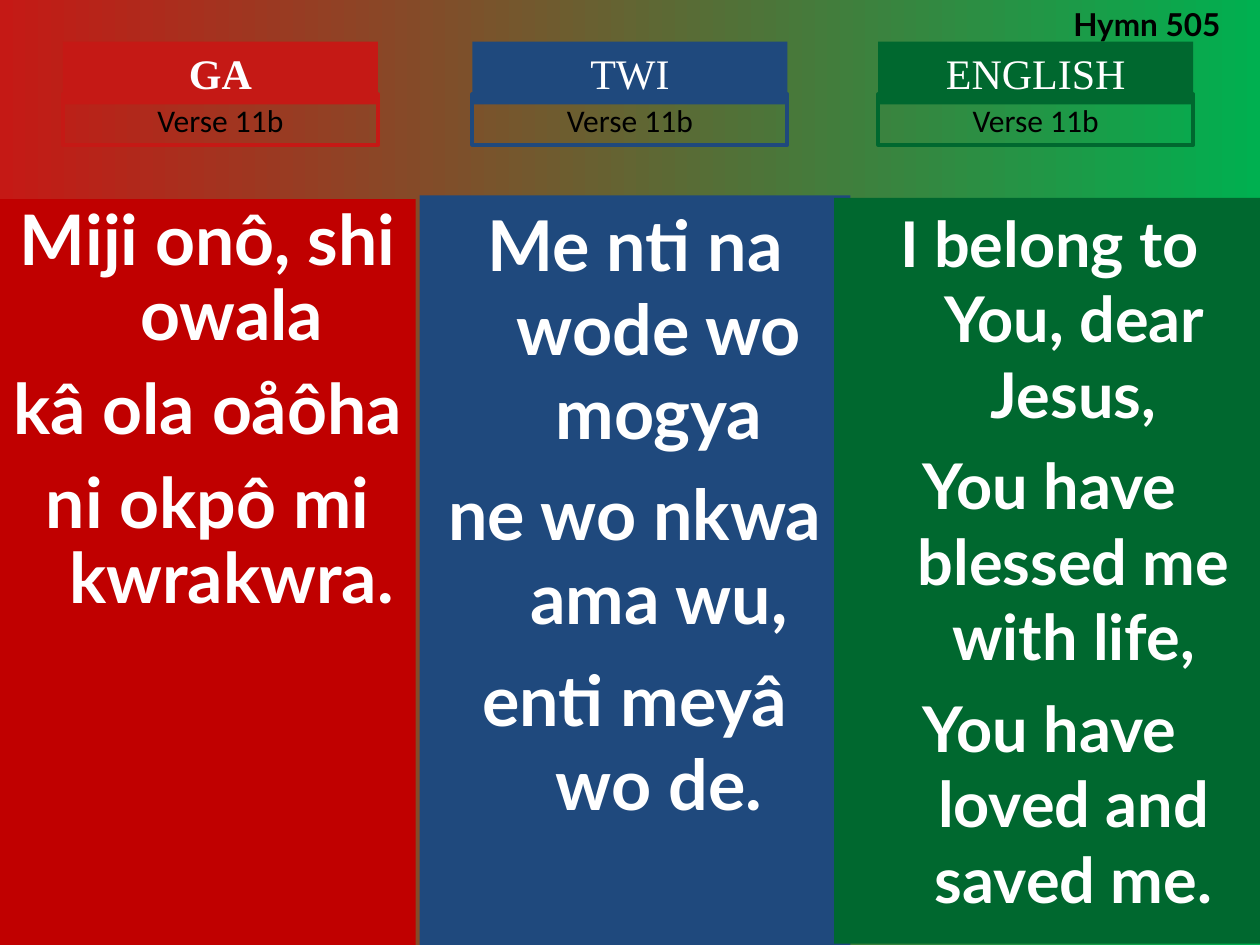
from pptx import Presentation
from pptx.dml.color import RGBColor
from pptx.enum.shapes import MSO_SHAPE
from pptx.enum.text import MSO_ANCHOR, MSO_AUTO_SIZE, PP_ALIGN
from pptx.util import Inches, Pt

RECTANGLE = MSO_SHAPE.RECTANGLE
CENTER = PP_ALIGN.CENTER
TOP, BOTTOM = MSO_ANCHOR.TOP, MSO_ANCHOR.BOTTOM
FIT_SHAPE = MSO_AUTO_SIZE.SHAPE_TO_FIT_TEXT

RED = RGBColor(0xC5, 0x19, 0x15)
DARK_RED = RGBColor(0xC0, 0x00, 0x00)
BLUE = RGBColor(0x1F, 0x49, 0x7D)
GREEN = RGBColor(0x00, 0x68, 0x2F)
BRIGHT_GREEN = RGBColor(0x00, 0xB0, 0x50)
WHITE = RGBColor(0xFF, 0xFF, 0xFF)
BLACK = RGBColor(0x00, 0x00, 0x00)

# Content: one entry per language
HYMN = "Hymn 505"
VERSE = "Verse 11b"
LANGUAGES = [
    {"name": "GA", "bold": True, "color": RED, "label_left": 0.5,
     "panel": (0, 1.58, 3.3, 5.92), "panel_color": DARK_RED,
     "size": 39.8, "gap": 10.7, "line_spacing": 0.9,
     "lines": ["Miji onô, shi owala", "kâ ola oåôha", "ni okpô mi kwrakwra."]},
    {"name": "TWI", "bold": False, "color": BLUE, "label_left": 3.75,
     "panel": (3.33, 1.55, 3.42, 5.95), "panel_color": BLUE,
     "size": 40, "gap": 10, "line_spacing": 1.0,
     "lines": ["Me nti na wode wo mogya", "ne wo nkwa ama wu,", "enti meyâ wo de."]},
    {"name": "ENGLISH", "bold": False, "color": GREEN, "label_left": 6.97,
     "panel": (6.62, 1.57, 3.42, 5.92), "panel_color": GREEN,
     "size": 36, "gap": 9, "line_spacing": 1.0,
     "lines": ["I belong to You, dear Jesus,", "You have blessed me with life,",
               "You have loved and saved me."]},
]

LABEL_WIDTH = 2.5
HEADING_TOP, HEADING_HEIGHT = 0.33, 0.5
VERSE_TOP, VERSE_HEIGHT = 0.75, 0.4
HANGING = 0.38


def add_box(slide, box, fill=None, line=None):
    shape = slide.shapes.add_shape(RECTANGLE, *map(Inches, box))
    shape.shadow.inherit = False
    if fill is None:
        shape.fill.background()
    else:
        shape.fill.solid()
        shape.fill.fore_color.rgb = fill
    if line is None:
        shape.line.fill.background()
    else:
        shape.line.color.rgb = line
        shape.line.width = Pt(2.25)
    return shape


def write(shape, lines, font_name, size, color, bold=False, align=CENTER, anchor=TOP):
    frame = shape.text_frame
    frame.word_wrap = True
    frame.vertical_anchor = anchor
    frame.text = "\n".join(lines)
    for paragraph in frame.paragraphs:
        paragraph.alignment = align
        font = paragraph.font
        font.name, font.size, font.bold = font_name, Pt(size), bold
        font.color.rgb = color
    return frame


def add_panel(slide, language):
    shape = add_box(slide, language["panel"], fill=language["panel_color"])
    frame = write(shape, language["lines"], "Lato", language["size"], WHITE, bold=True)
    for index, paragraph in enumerate(frame.paragraphs):
        paragraph.line_spacing = language["line_spacing"]
        if index:
            paragraph.space_before = Pt(language["gap"])
        # Wrapped lines hang to the right of the first line
        properties = paragraph._p.get_or_add_pPr()
        properties.set("marL", str(Inches(HANGING)))
        properties.set("indent", str(-Inches(HANGING)))


def add_labels(slide, language):
    left, color = language["label_left"], language["color"]
    heading = add_box(slide, (left, HEADING_TOP, LABEL_WIDTH, HEADING_HEIGHT), fill=color)
    write(heading, [language["name"]], "Times New Roman", 24, WHITE,
          bold=language["bold"], anchor=BOTTOM)
    verse = add_box(slide, (left, VERSE_TOP, LABEL_WIDTH, VERSE_HEIGHT), line=color)
    write(verse, [VERSE], "Calibri", 18, BLACK)


presentation = Presentation()
presentation.slide_width, presentation.slide_height = Inches(10), Inches(7.5)
slide = presentation.slides.add_slide(presentation.slide_layouts[6])

# Background gradient, left to right
background = slide.background.fill
background.gradient()
background.gradient_angle = 0
for stop, color, position in zip(background.gradient_stops, (RED, BRIGHT_GREEN), (0, 1)):
    stop.color.rgb = color
    stop.position = position

# Lyrics panels with their labels
for language in LANGUAGES:
    add_panel(slide, language)
    add_labels(slide, language)

# Hymn number
hymn = slide.shapes.add_textbox(Inches(8.42), Inches(-0.01), Inches(1.5), Inches(0.4))
write(hymn, [HYMN], "Lato", 18, BLACK, bold=True, align=PP_ALIGN.LEFT).auto_size = FIT_SHAPE

presentation.save("out.pptx")
